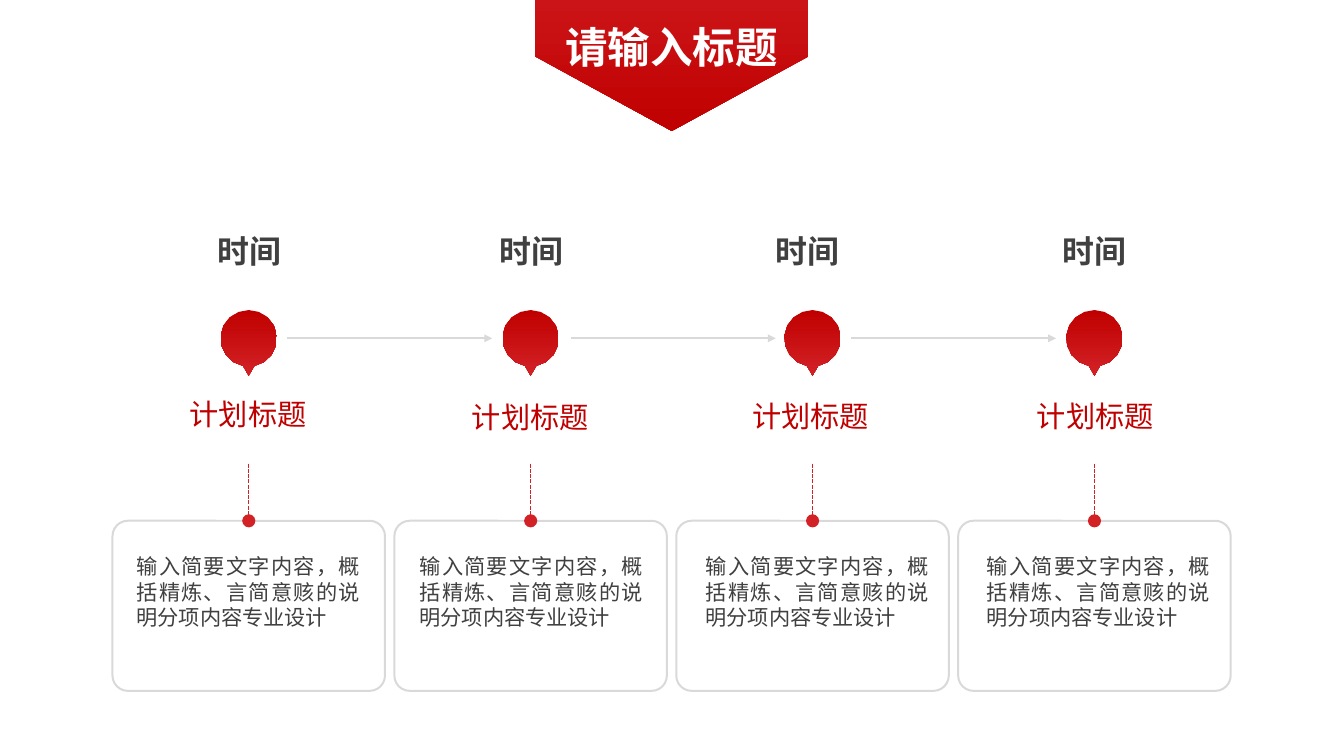
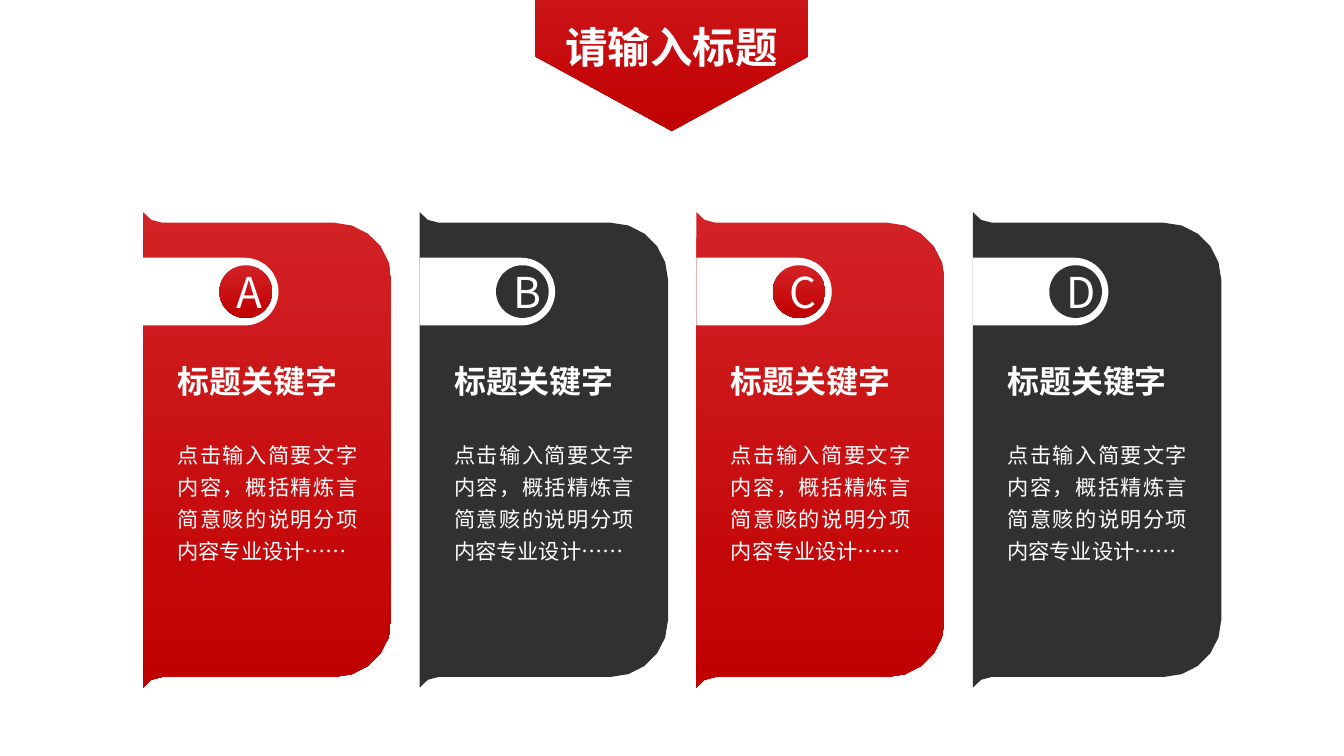
from math import cos, radians, sin

from lxml.etree import SubElement
from pptx import Presentation
from pptx.dml.color import RGBColor
from pptx.enum.dml import MSO_LINE
from pptx.enum.shapes import MSO_CONNECTOR, MSO_SHAPE
from pptx.enum.text import MSO_ANCHOR, MSO_AUTO_SIZE, PP_ALIGN
from pptx.oxml.ns import qn
from pptx.util import Cm, Pt

FONT = "Noto Sans CJK SC"
COLORS = {name: RGBColor.from_string(value) for name, value in {
    "light_red": "D22226", "banner_red": "CB1417", "red": "C00000",
    "charcoal": "313131", "text": "404040", "rule": "D9D9D9", "white": "FFFFFF",
}.items()}


def arc(x, y, radius, start, end, steps):
    """Return points along a circle, in cm; degrees run clockwise from the right."""
    angles = [radians(start + (end - start) * step / steps) for step in range(steps + 1)]
    return [(x + radius * cos(a), y + radius * sin(a)) for a in angles]


def write(shape, text, size, color, align, bold=False, spacing=None):
    frame = shape.text_frame
    frame.text = text
    frame.word_wrap = True
    paragraph = frame.paragraphs[0]
    paragraph.alignment = align
    paragraph.line_spacing = spacing
    font = paragraph.runs[0].font
    font.name, font.size, font.bold = FONT, Pt(size), bold
    font.color.rgb = COLORS[color]
    SubElement(paragraph.runs[0]._r.rPr, qn("a:ea"), typeface=FONT)
    return frame


prs = Presentation()
prs.slide_width, prs.slide_height = Cm(35.71), Cm(20.09)
blank = prs.slide_layouts[6]
timeline = prs.slides.add_slide(blank)
panels = prs.slides.add_slide(blank)

# Grids, in cm
stage_centers = [6.61 + 7.49 * i for i in range(4)]
panel_lefts = [3.8 + 7.35 * i for i in range(4)]
axis_y = 8.99
panel_width, panel_top, panel_bottom = 6.6, 5.64, 18.27
flare, corner = 0.28, 1.52
body_top, body_bottom = panel_top + flare, panel_bottom - flare
panel_colors = [("light_red", "red"), ("charcoal", "charcoal")] * 2

# Outlines: slide, points, top and bottom colour
outlines = []
for center in stage_centers:
    pin = arc(center, axis_y, 0.75, 101.5, 438.5, 16) + [(center, axis_y + 0.99)]
    outlines.append((timeline, pin, "red", "light_red"))
for left, (top_color, bottom_color) in zip(panel_lefts, panel_colors):
    corner_x = left + panel_width - corner
    panel = (
        arc(left + 0.51, body_top - 0.6, 0.6, 148, 90, 2)
        + arc(corner_x, body_top + corner, corner, -90, 0, 5)
        + arc(corner_x, body_bottom - corner, corner, 0, 90, 5)
        + arc(left + 0.51, body_bottom + 0.6, 0.6, 270, 212, 2)
    )
    outlines.append((panels, panel, top_color, bottom_color))
banner = [(14.22, 0), (21.48, 0), (21.48, 1.5), (17.85, 3.48), (14.22, 1.5)]
for slide in (timeline, panels):
    outlines.append((slide, banner, "banner_red", "red"))

fills = []
for slide, points, top_color, bottom_color in outlines:
    start, *rest = [(Cm(x), Cm(y)) for x, y in points]
    builder = slide.shapes.build_freeform(*start)
    builder.add_line_segments(rest)
    fills.append((builder.convert_to_shape(), top_color, bottom_color))

# Text boxes: slide, left, top, width, height, then the arguments of write
texts = []

# Timeline
stages = [  # time left, title left, title top, body left
    (5.36, 3.47, 10.54, 3.63),
    (12.85, 10.97, 10.62, 11.15),
    (20.19, 18.42, 10.59, 18.75),
    (27.81, 25.98, 10.59, 26.22),
]
lines = [(x, axis_y, x + 5.45, axis_y, "rule", 1.5, None, "triangle", "med")
         for x in (7.63, 15.16, 22.61)]
for center, (time_left, title_left, title_top, body_left) in zip(stage_centers, stages):
    card = timeline.shapes.add_shape(
        MSO_SHAPE.ROUNDED_RECTANGLE, Cm(center - 3.62), Cm(13.84), Cm(7.24), Cm(4.52))
    card.adjustments[0] = 0.09
    card.shadow.inherit = False
    card.fill.background()
    card.line.color.rgb = COLORS["rule"]
    card.line.width = Pt(1.5)
    lines.append((center, 12.32, center, 13.84, "light_red", 1, MSO_LINE.SQUARE_DOT,
                  "oval", "lg"))
    texts += [
        (timeline, time_left, 6.15, 2.54, 1.02, "时间", 24, "text", PP_ALIGN.CENTER, True),
        (timeline, title_left, title_top, 4.67, 0.94, "计划标题", 22, "red", PP_ALIGN.RIGHT),
        (timeline, body_left, 14.71, 5.94, 2.06,
         "输入简要文字内容，概括精炼、言简意赅的说明分项内容专业设计",
         16, "text", PP_ALIGN.JUSTIFY),
    ]

for x1, y1, x2, y2, color, width, dash, end, end_size in lines:
    line = timeline.shapes.add_connector(
        MSO_CONNECTOR.STRAIGHT, Cm(x1), Cm(y1), Cm(x2), Cm(y2))
    line.line.color.rgb = COLORS[color]
    line.line.width = Pt(width)
    line.line.dash_style = dash
    SubElement(line.line._get_or_add_ln(), qn("a:tailEnd"), type=end, w=end_size, len=end_size)
    SubElement(line._element.spPr, qn("a:effectLst"))

# Lettered panels
for letter, left, (top_color, bottom_color) in zip("ABCD", panel_lefts, panel_colors):
    tab = panels.shapes.add_shape(
        MSO_SHAPE.ROUND_2_SAME_RECTANGLE, Cm(left + 0.9), Cm(5.95), Cm(1.8), Cm(3.6))
    tab.adjustments[0], tab.adjustments[1] = 0.5, 0
    tab.rotation = 90
    badge = panels.shapes.add_shape(
        MSO_SHAPE.OVAL, Cm(left + 2.03), Cm(7.05), Cm(1.4), Cm(1.4))
    write(badge, letter, 32, "white", PP_ALIGN.CENTER).vertical_anchor = MSO_ANCHOR.MIDDLE
    fills += [(tab, "white", "white"), (badge, top_color, bottom_color)]
    texts += [
        (panels, left + 0.92, 9.61, 4.78, 1.02, "标题关键字", 24, "white", PP_ALIGN.LEFT, True),
        (panels, left + 0.92, 11.59, 4.78, 3.43,
         "点击输入简要文字内容，概括精炼言简意赅的说明分项内容专业设计……",
         16, "white", PP_ALIGN.JUSTIFY, False, Pt(24)),
    ]

for shape, top_color, bottom_color in fills:
    shape.shadow.inherit = False
    shape.line.fill.background()
    if top_color == bottom_color:
        shape.fill.solid()
        shape.fill.fore_color.rgb = COLORS[top_color]
    else:
        shape.fill.gradient()
        shape.fill.gradient_angle = 270
        for stop, color in zip(shape.fill.gradient_stops, (top_color, bottom_color)):
            stop.color.rgb = COLORS[color]

for slide in (timeline, panels):
    texts.append((slide, 14.73, 0.43, 6.22, 1.63, "请输入标题", 32, "white",
                  PP_ALIGN.CENTER, True))

for slide, left, top, width, height, *content in texts:
    box = slide.shapes.add_textbox(Cm(left), Cm(top), Cm(width), Cm(height))
    frame = write(box, *content)
    frame.auto_size = MSO_AUTO_SIZE.SHAPE_TO_FIT_TEXT
    frame.margin_left = frame.margin_right = 0
    frame.margin_top = frame.margin_bottom = Cm(0.13) if top < 1 else 0

prs.save("out.pptx")
